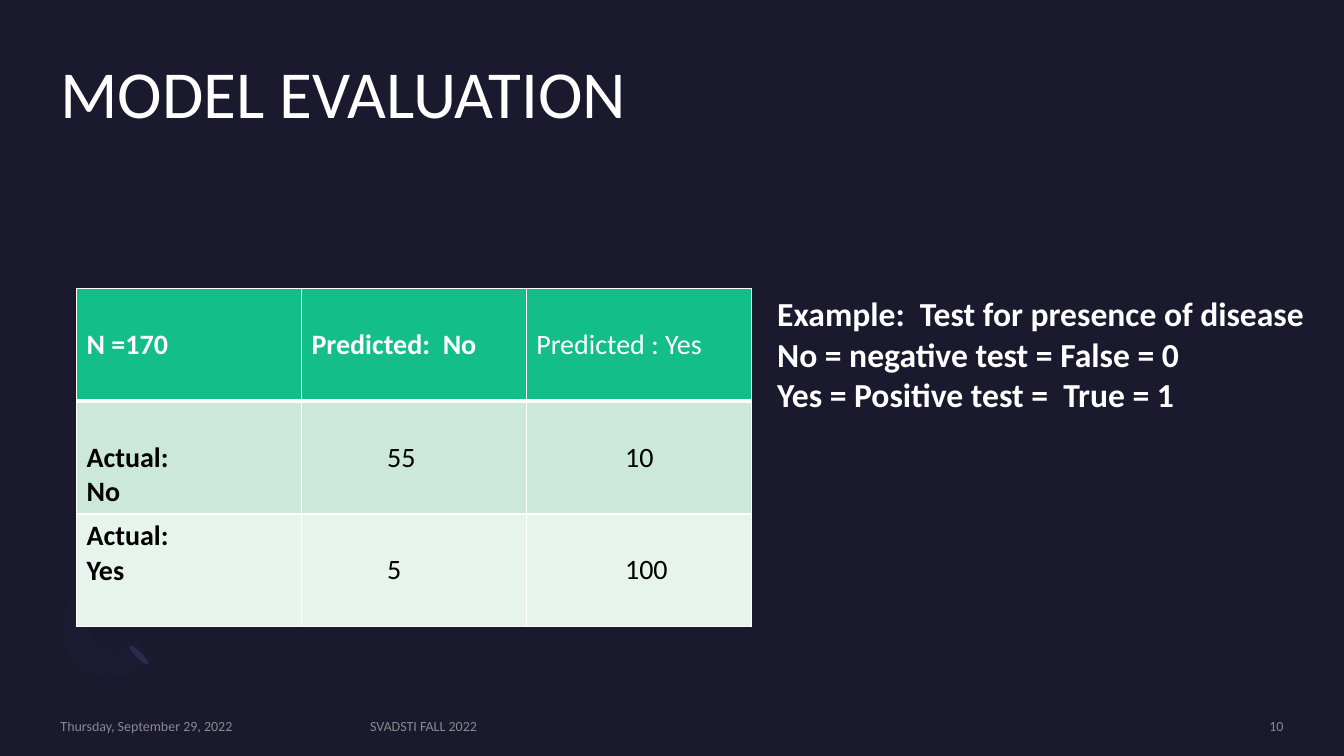
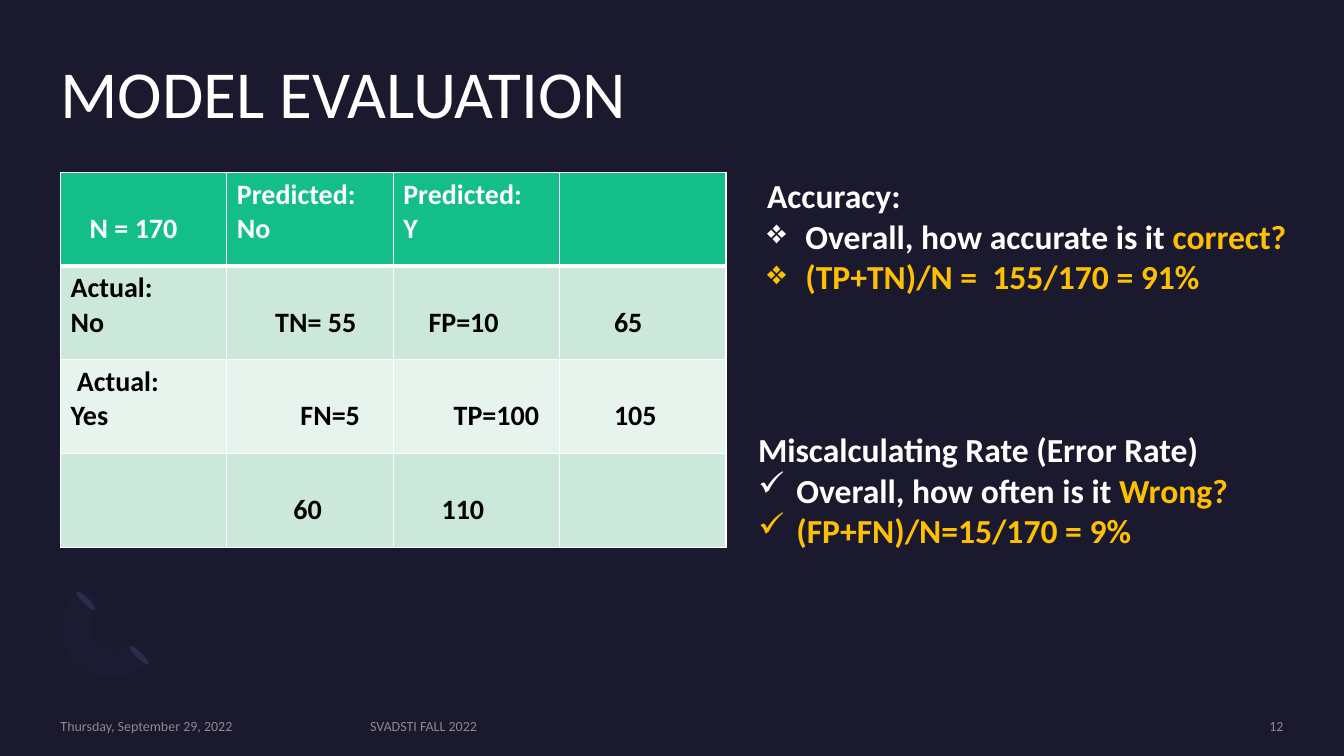
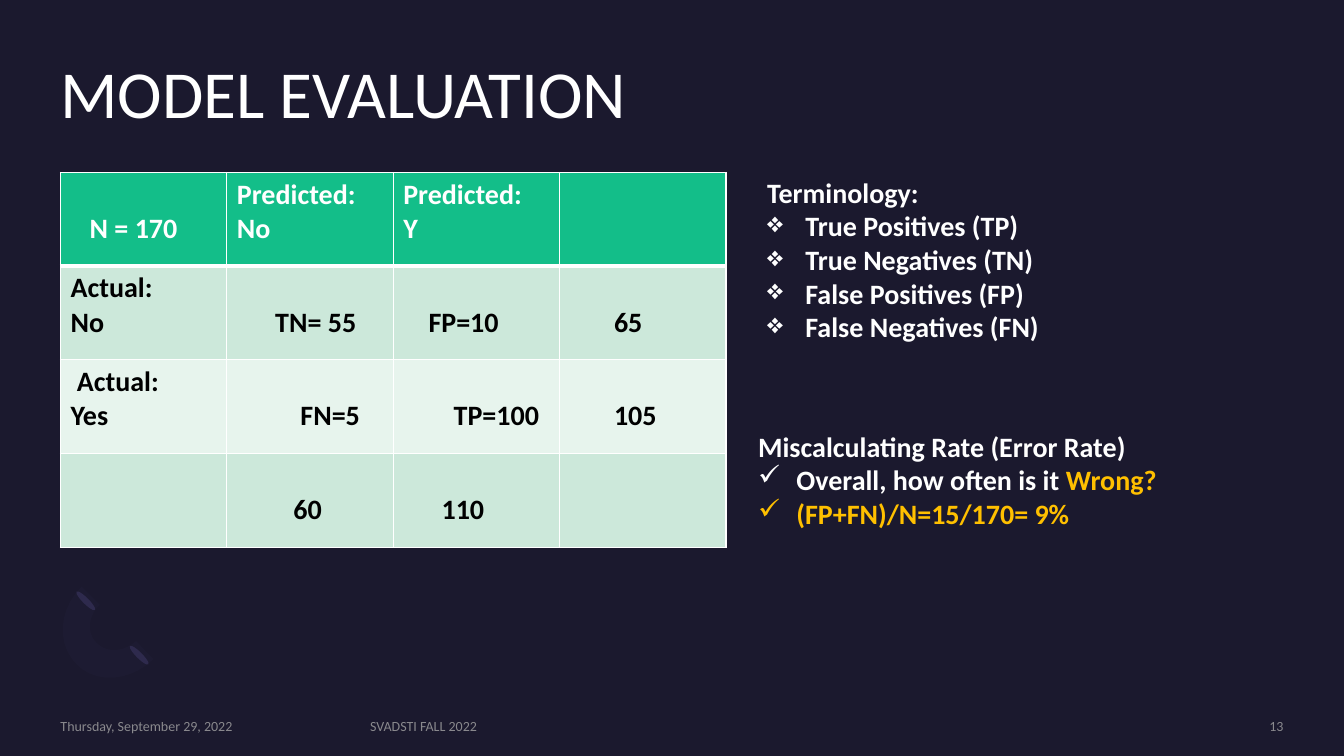
from lxml import etree
from pptx import Presentation
from pptx import util as u
from pptx.dml.color import RGBColor
from pptx.enum import shapes, text
from pptx.oxml import parse_xml
from pptx.oxml.ns import nsdecls, qn


class Theme:
    font = "Calibri"
    back = "1B192E"
    white = "FFFFFF"
    black = "000000"
    gold = "FFC000"
    grey = "A6A6A6"
    header = "13BE89"
    bands = ("CCE8DA", "E7F4ED")
    petal = "2C284A"
    arc = "7771B2"
    title_size = 48
    large = 24
    body = 20
    small = 10


def add_run(p, content, size, color, bold=False):
    r = p.add_run()
    r.text = content
    r.font.name = Theme.font
    r.font.size = u.Pt(size)
    r.font.bold = bold
    r.font.color.rgb = RGBColor.from_string(color)
    return r


def add_box(s, left, top, width, height, inset=True):
    tf = s.shapes.add_textbox(*map(u.Inches, (left, top, width, height))).text_frame
    tf.word_wrap = True
    if not inset:
        tf.margin_left = tf.margin_right = tf.margin_top = tf.margin_bottom = 0
    return tf


W, G = Theme.white, Theme.gold

disease_table = dict(
    at=(0.76, 2.86), col=2.23, row=1.12,
    cells=[
        [("N =170", 0, 1, True), ("Predicted:  No", 0, 1, True), ("Predicted : Yes", 0, 1, False)],
        [("Actual:\nNo", 0, 1, True), ("55", 0.75, 1, False), ("10", 0.88, 1, False)],
        [("Actual:\nYes", 0, 0, True), ("5", 0.75, 1, False), ("100", 0.88, 1, False)],
    ])
counts_table = dict(
    at=(0.6, 1.71), col=1.65, row=0.93,
    cells=[
        [("N = 170", 0.19, 1, True), ("Predicted:\nNo", 0, 0, True), ("Predicted:\nY", 0, 0, True), None],
        [("Actual:\nNo", 0, 0, True), ("TN= 55", 0.38, 1, True), ("FP=10", 0.25, 1, True), ("65", 0.44, 1, True)],
        [(" Actual:\nYes", 0, 0, True), ("FN=5", 0.63, 1, True), ("TP=100", 0.5, 1, True), ("105", 0.44, 1, True)],
        [None, ("60", 0.56, 1, True), ("110", 0.38, 1, True), None],
    ])

slides = [
    ("10", disease_table, [
        ((7.61, 2.86, 5.53, 1.72), Theme.large, None, [
            [("Example:  Test for presence of disease", W)],
            [("No = negative test = False = 0", W)],
            [("Yes = Positive test =  True = 1", W)]]),
    ]),
    ("12", counts_table, [
        ((7.42, 4.21, 5.53, 1.31), Theme.large, "✓", [
            [("Miscalculating Rate (Error Rate)", W)],
            [("Overall, how often is it ", W), ("Wrong?", G)],
            [("(FP+FN)/N=15/170 = 9%", G)]]),
        ((7.51, 1.69, 5.53, 1.72), Theme.large, "❖", [
            [("Accuracy:", W)],
            [("Overall, how accurate is it ", W), ("correct?", G)],
            [("(TP+TN)/N =  155/170 = 91%", G)]]),
    ]),
    ("13", counts_table, [
        ((7.42, 4.21, 5.53, 1.11), Theme.body, "✓", [
            [("Miscalculating Rate (Error Rate)", W)],
            [("Overall, how often is it ", W), ("Wrong?", G)],
            [("(FP+FN)/N=15/170= 9%", G)]]),
        ((7.51, 1.69, 5.53, 1.78), Theme.body, "❖", [
            [("Terminology:", W)],
            [("True Positives (TP)", W)],
            [("True Negatives (TN)", W)],
            [("False Positives (FP)", W)],
            [("False Negatives (FN)", W)]]),
    ]),
]

outer_arc = [((0.76, 6.59), (0.56, 6.39), (0.58, 6.05), (0.81, 5.82))]
inner_arc = [((0.99, 6), (0.87, 6.11), (0.86, 6.29), (0.96, 6.38)),
             ((0.96, 6.38), (1.06, 6.48), (1.23, 6.47), (1.35, 6.36))]
closing_arc = [((1.52, 6.54), (1.3, 6.76), (0.95, 6.79), (0.76, 6.59))]
arc_points = []
for curve in outer_arc + inner_arc + closing_arc:
    for step in range(11):
        t = step / 10
        weights = ((1 - t) ** 3, 3 * t * (1 - t) ** 2, 3 * t * t * (1 - t), t ** 3)
        arc_points.append(tuple(u.Inches(sum(k * pt[axis] for k, pt in zip(weights, curve)))
                                for axis in (0, 1)))

prs = Presentation()
prs.slide_width = u.Inches(13.33)
prs.slide_height = u.Inches(7.5)
back = prs.slide_master.background.fill
back.solid()
back.fore_color.rgb = RGBColor.from_string(Theme.back)

for number, grid, notes in slides:
    s = prs.slides.add_slide(prs.slide_layouts[6])

    petals = [s.shapes.add_shape(shapes.MSO_SHAPE.OVAL, *map(u.Inches, (x, y, 0.06, 0.26)))
              for x, y in ((1.35, 6.37), (0.82, 5.83))]
    for sp in petals:
        sp.rotation = 135
    builder = s.shapes.build_freeform(*arc_points[0])
    builder.add_line_segments(arc_points[1:], close=True)
    arc = builder.convert_to_shape()
    for sp, color in [(petals[0], Theme.petal), (petals[1], Theme.petal), (arc, Theme.arc)]:
        sp.shadow.inherit = False
        sp.line.fill.background()
        sp.fill.solid()
        sp.fill.fore_color.rgb = RGBColor.from_string(color)
    etree.SubElement(arc.fill._xPr.find(".//" + qn("a:srgbClr")), qn("a:alpha"), val="3000")

    p = add_box(s, 0.6, 0.6, 12.13, 0.94, inset=False).paragraphs[0]
    p.line_spacing = 0.9
    add_run(p, "MODEL EVALUATION", Theme.title_size, W)

    for left, width, content, align in [
            (0.6, 2.88, "Thursday, September 29, 2022", text.PP_ALIGN.LEFT),
            (3.67, 6.98, "SVADSTI FALL 2022", text.PP_ALIGN.LEFT),
            (10.88, 1.85, number, text.PP_ALIGN.RIGHT)]:
        tf = add_box(s, left, 7.12, width, 0.17, inset=False)
        tf.vertical_anchor = text.MSO_ANCHOR.MIDDLE
        p = tf.paragraphs[0]
        p.alignment = align
        r = add_run(p, content, Theme.small, Theme.grey)
        etree.SubElement(r._r.find(".//" + qn("a:srgbClr")), qn("a:alpha"), val="80000")

    cells = grid["cells"]
    rows, cols = len(cells), len(cells[0])
    size = (cols * grid["col"], rows * grid["row"])
    table = s.shapes.add_table(rows, cols, *map(u.Inches, grid["at"] + size)).table
    table.horz_banding = False
    for column in table.columns:
        column.width = u.Inches(grid["col"])
    for i, row in enumerate(cells):
        table.rows[i].height = u.Inches(grid["row"])
        for j, entry in enumerate(row):
            cell = table.cell(i, j)
            tcPr = cell._tc.get_or_add_tcPr()
            for side in "LRTB":
                heavy = (i, side) in ((0, "B"), (1, "T"))
                tcPr.append(parse_xml(
                    f'<a:ln{side} {nsdecls("a")} w="{u.Pt(3 if heavy else 1)}"><a:solidFill>'
                    f'<a:srgbClr val="{W}"/></a:solidFill></a:ln{side}>'))
            cell.fill.solid()
            cell.fill.fore_color.rgb = RGBColor.from_string(
                Theme.bands[(i - 1) % 2] if i else Theme.header)
            if entry is None:
                continue
            content, indent, drop, bold = entry
            cell.margin_left = u.Inches(0.1 + indent)
            cell.margin_right = u.Inches(0.05)
            cell.margin_top = u.Inches(0.05 + 0.34 * drop)
            cell.margin_bottom = u.Inches(0.04)
            tf = cell.text_frame
            for n, line in enumerate(content.split("\n")):
                p = tf.add_paragraph() if n else tf.paragraphs[0]
                add_run(p, line, Theme.body, Theme.black if i else W, bold)

    for place, points, bullet, lines in notes:
        tf = add_box(s, *place)
        for n, line in enumerate(lines):
            p = tf.add_paragraph() if n else tf.paragraphs[0]
            if n and bullet:
                pPr = p._p.get_or_add_pPr()
                pPr.set("marL", str(u.Inches(0.38)))
                pPr.set("indent", str(-u.Inches(0.38)))
                etree.SubElement(pPr, qn("a:buChar"), char=bullet)
            for content, color in line:
                add_run(p, content, points, color, True)

prs.save("out.pptx")
